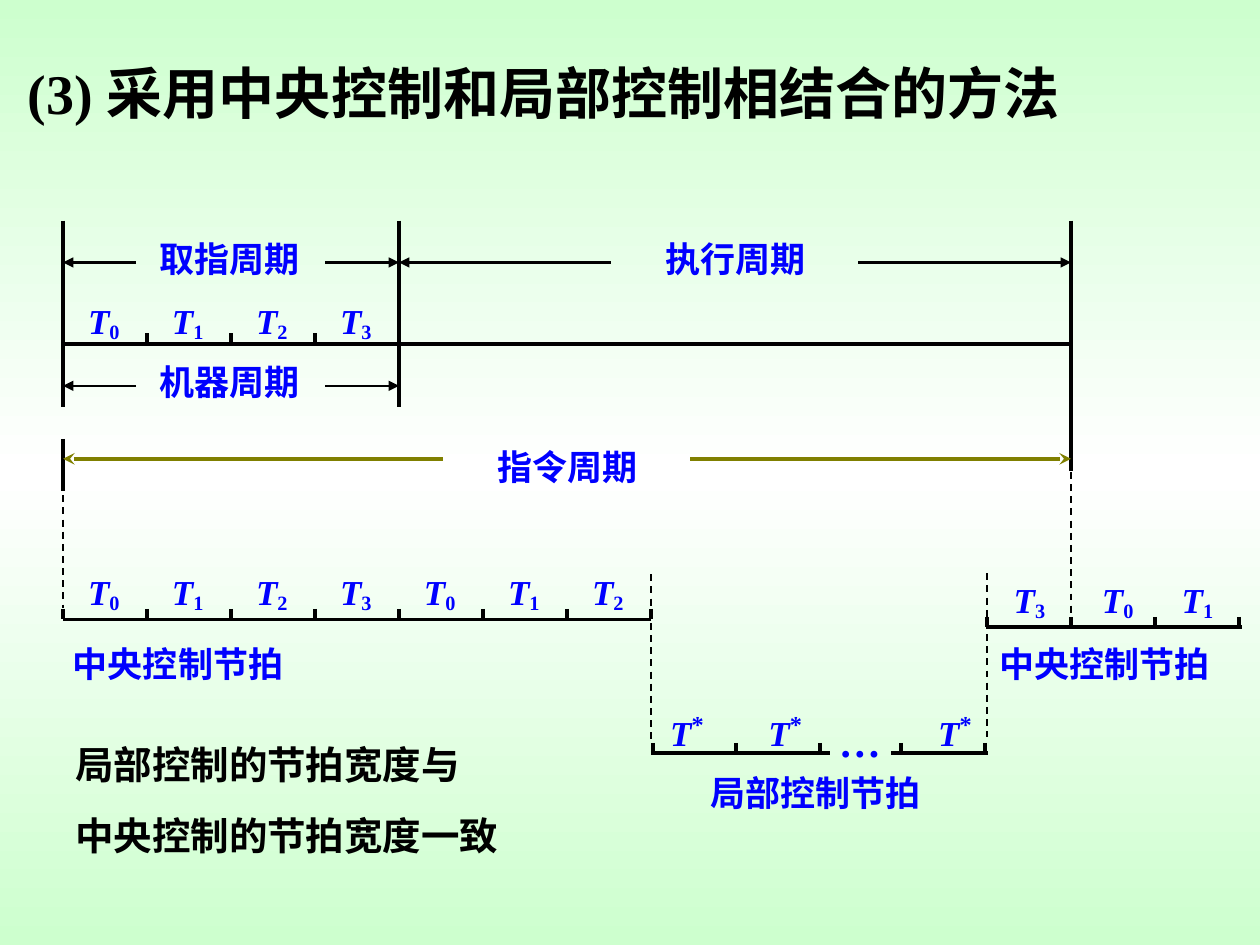
import copy

import pptx
import pptx.dml.color
import pptx.enum.dml
import pptx.enum.shapes
import pptx.enum.text
import pptx.oxml
import pptx.oxml.ns
import pptx.util

COLORS = {"black": "000000", "blue": "0000FF", "olive": "808000",
          "mint": "CDFFCE", "white": "FFFFFF"}
FONT = "Times New Roman"
LEFT, BEAT, ROW = 0.5, 2 / 3, 1 / 12


def color(name):
    """Return the named colour."""
    return pptx.dml.color.RGBColor.from_string(COLORS[name])


def column(number):
    """Return the left edge of a beat column."""
    return pptx.util.Inches(LEFT + number * BEAT)


def row(number):
    """Return the top edge of a row."""
    return pptx.util.Inches(number * ROW)


def paint_background(slide):
    """Fill the slide with a vertical mint, white, mint gradient."""
    fill = slide.background.fill
    fill.gradient()
    fill.gradient_angle = 90
    stops = slide.element.xpath(".//a:gsLst")[0]
    stops.append(copy.deepcopy(stops[-1]))
    for stop, name, position in zip(fill.gradient_stops, ("mint", "white", "mint"), (0, 0.5, 1)):
        stop.color.rgb = color(name)
        stop.position = position


def add_line(slide, start, end, width=2.25, name="black", head=None, dashed=False):
    """Draw a straight line between two (column, row) points."""
    connector = slide.shapes.add_connector(
        pptx.enum.shapes.MSO_CONNECTOR.STRAIGHT,
        column(start[0]), row(start[1]), column(end[0]), row(end[1]))
    connector.line.width = pptx.util.Pt(width)
    connector.line.color.rgb = color(name)
    if dashed:
        connector.line.dash_style = pptx.enum.dml.MSO_LINE.DASH
    properties = connector._element.spPr
    namespace = pptx.oxml.ns.nsdecls("a")
    if head:
        outline = properties.find(pptx.oxml.ns.qn("a:ln"))
        outline.append(pptx.oxml.parse_xml(f'<a:tailEnd {namespace} type="{head}"/>'))
    properties.append(pptx.oxml.parse_xml(f"<a:effectLst {namespace}/>"))


def add_text(slide, place, size, lines, name="blue", wrap=False, space=0):
    """Add a bold text box at (column, row, columns, rows) and return it."""
    left, top, width, height = place
    box = slide.shapes.add_textbox(
        column(left), row(top), pptx.util.Inches(width * BEAT), row(height))
    frame = box.text_frame
    frame.word_wrap = wrap
    frame.auto_size = pptx.enum.text.MSO_AUTO_SIZE.SHAPE_TO_FIT_TEXT
    frame.text = "\n".join(lines)
    for paragraph in frame.paragraphs:
        paragraph.space_before = pptx.util.Pt(space)
        paragraph.font.name = FONT
        paragraph.font.size = pptx.util.Pt(size)
        paragraph.font.bold = True
        paragraph.font.color.rgb = color(name)
    return box


def add_beat_label(slide, left, top, mark):
    """Add an italic T with a lowered number or a raised star."""
    raised = mark == "*"
    place = (left, top, 0.8, 6) if raised else (left, top, 0.7, 5.4)
    paragraph = add_text(slide, place, 20, ["T"]).text_frame.paragraphs[0]
    paragraph.runs[0].font.italic = True
    run = paragraph.add_run()
    run.text = mark
    if raised:
        run.font.size = pptx.util.Pt(24)
    run.font._element.set("baseline", "30000" if raised else "-15000")


def add_axis(slide, start, end, level, ticks):
    """Draw a time axis with a short tick at each given column."""
    add_line(slide, (start, level), (end, level))
    for tick in ticks:
        add_line(slide, (tick, level - 1), (tick, level))


def add_span(slide, label, place, level, start, end, gap, width=1.5, name="black", head="triangle"):
    """Draw two outward arrows on either side of a label."""
    add_line(slide, (gap[0], level), (start, level), width, name, head)
    add_line(slide, (gap[1], level), (end, level), width, name, head)
    add_text(slide, (*place, 2.1, 5.3), 20, [label])


def add_periods(slide):
    """Draw the fetch, execute, machine and instruction periods."""
    add_axis(slide, 0, 12, 32.75, (1, 2, 3))
    for position, top, bottom in ((0, 21, 38.75), (4, 21, 38.75), (12, 21, 44.9), (0, 41.8, 46.8)):
        add_line(slide, (position, top), (position, bottom))
    fetch_gap = (0.87, 3.12)
    add_span(slide, "取指周期", (1, 22), 25, 0, 4, fetch_gap)
    add_span(slide, "机器周期", (1, 33.75), 36.75, 0, 4, fetch_gap)
    add_span(slide, "执行周期", (7.02, 22), 25, 4, 12, (6.52, 9.47))
    add_span(slide, "指令周期", (5.02, 41.8), 43.7, 0, 12, (4.52, 7.47), 2.25, "olive", "stealth")
    for beat in range(4):
        add_beat_label(slide, beat + 0.15, 27.9, str(beat))


def add_beats(slide):
    """Draw the central and local control beats."""
    for position, top, bottom in ((0, 43.7, 57.9), (7, 54.7, 70.5),
                                  (11, 54.6, 70.2), (12, 43.8, 58.7)):
        add_line(slide, (position, top), (position, bottom), 1, dashed=True)
    add_axis(slide, 0, 7, 59, range(8))
    add_axis(slide, 11, 14.04, 59.75, range(11, 15))
    add_axis(slide, 7, 9.13, 71.75, (7.02, 8.01, 9.01))
    add_axis(slide, 9.86, 11.01, 71.75, (9.98, 10.98))
    for beat in range(7):
        add_beat_label(slide, beat + 0.15, 53.75, str(beat % 4))
    for left, mark in ((11.17, "3"), (12.22, "0"), (13.17, "1")):
        add_beat_label(slide, left, 54.5, mark)
    for left in (7.08, 8.25, 10.27):
        add_beat_label(slide, left, 66.5, "*")
    add_text(slide, (9.09, 67.6, 1.19, 6), 24, ["…"], wrap=True, space=15)
    for label, left, top in (("中央控制节拍", -0.03, 60.6), ("中央控制节拍", 11, 60.6),
                             ("局部控制节拍", 7.56, 72.85)):
        add_text(slide, (left, top, 2.9, 5.3), 20, [label])


def main():
    """Build the slide on combined central and local control."""
    presentation = pptx.Presentation()
    presentation.slide_width = pptx.util.Inches(10)
    presentation.slide_height = pptx.util.Inches(7.5)
    slide = presentation.slides.add_slide(presentation.slide_layouts[6])
    paint_background(slide)
    add_text(slide, (-0.57, 5, 12.8, 7.7), 32, ["(3) 采用中央控制和局部控制相结合的方法"], "black")
    add_periods(slide)
    add_beats(slide)
    add_text(slide, (0, 70, 7.38, 12.4), 22, ["局部控制的节拍宽度与", "中央控制的节拍宽度一致"],
             "black", wrap=True, space=13.8)
    presentation.save("out.pptx")


if __name__ == "__main__":
    main()
